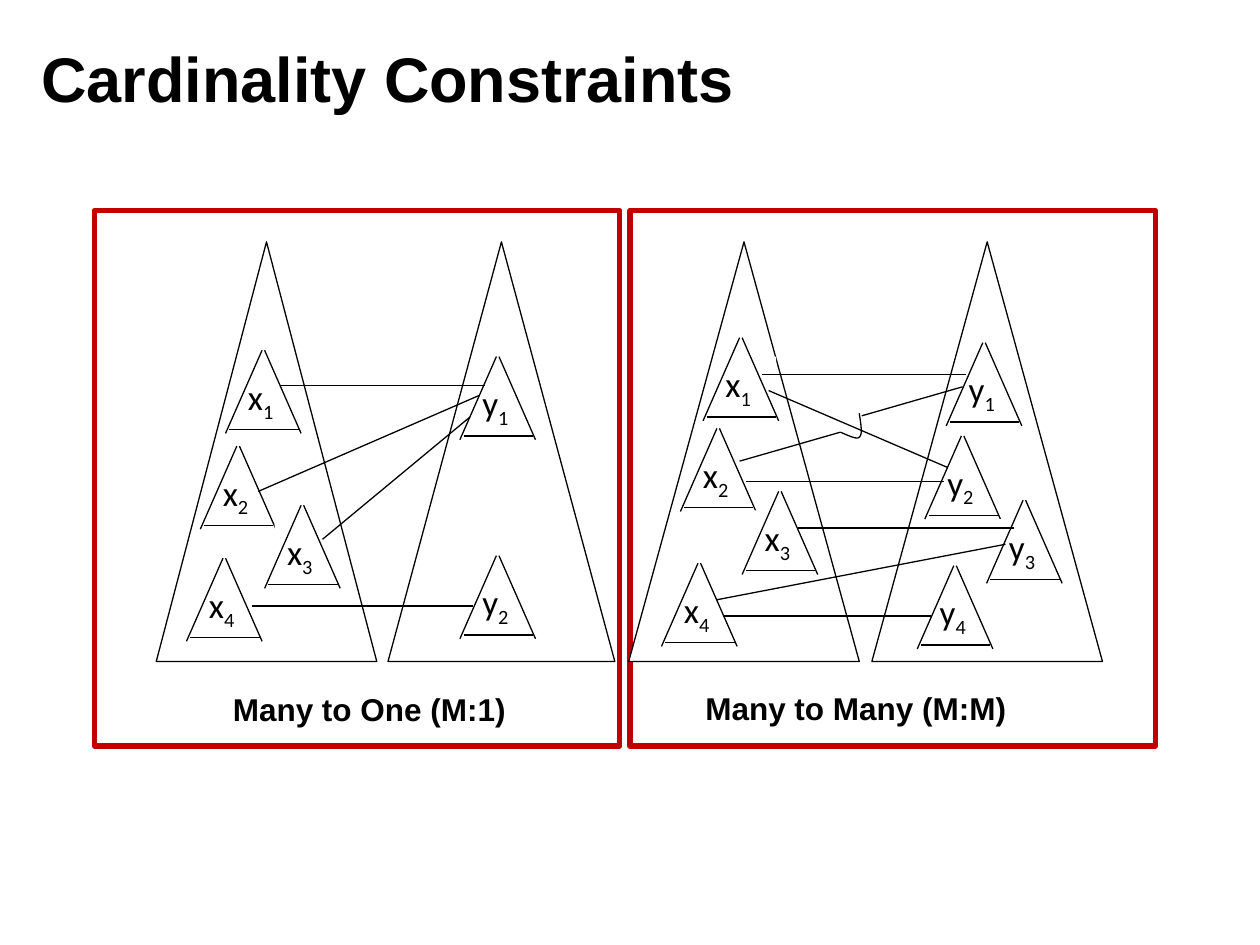
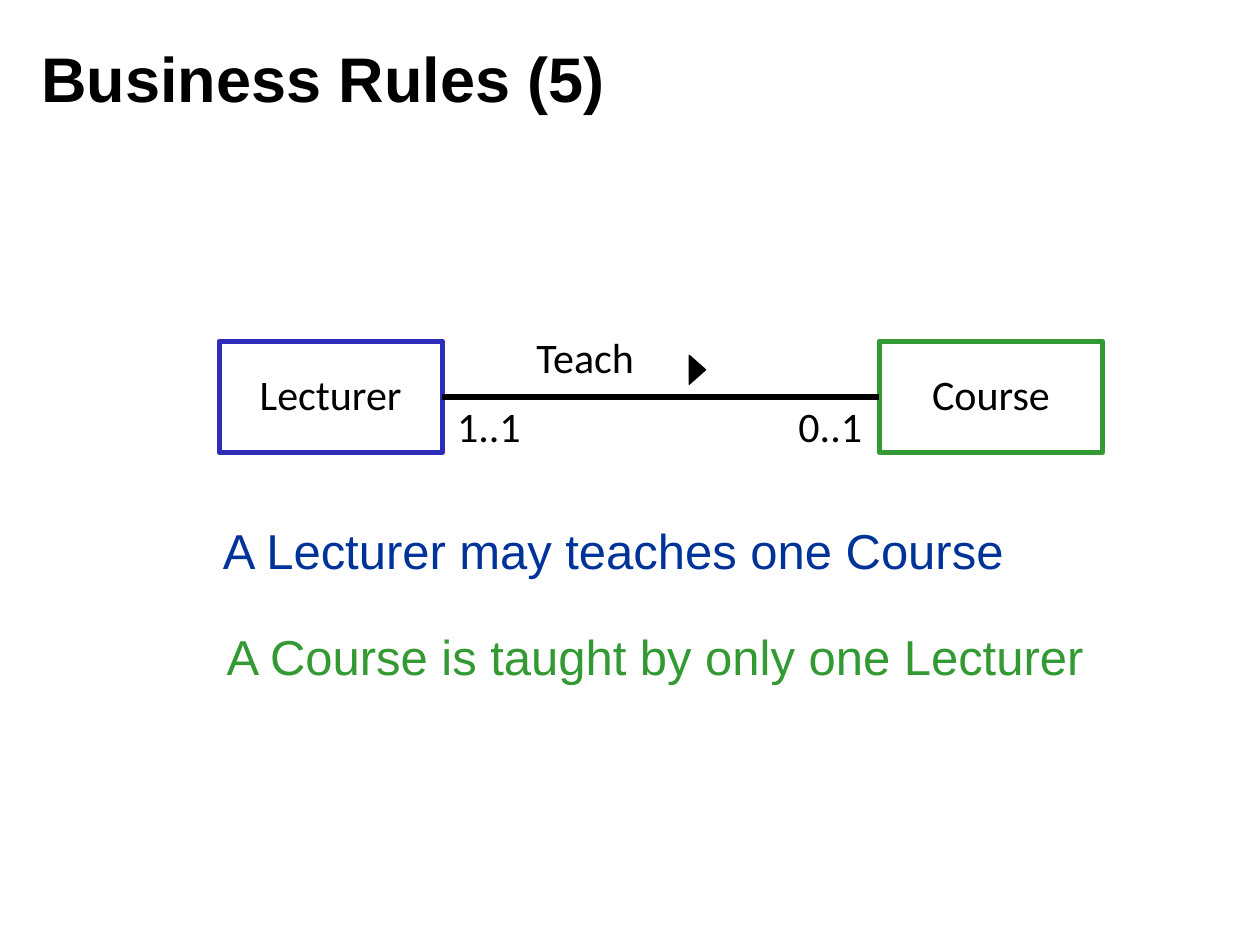
from lxml.etree import SubElement
from pptx import Presentation
from pptx.dml.color import RGBColor
from pptx.enum.shapes import MSO_CONNECTOR, MSO_SHAPE
from pptx.enum.text import MSO_ANCHOR as Anchor, PP_ALIGN as Align
from pptx.oxml.ns import qn
from pptx.util import Inches, Pt

COLORS = {
    "black": "000000", "white": "FFFFFF", "panel": "C00000",
    "lecturer": "2D2DB9", "course": "339933", "lecturer_rule": "003399",
}
HEADING_FONT, LABEL_FONT = "Arial", "Calibri"
THIN, THICK = 0.75, 3

# Positions inside a panel: sets are (left, width), nodes (name, index, left, top),
# links (x1, y1, x2, y2)
MANY_TO_ONE = {
    "caption": ("Many to One (M:1)", 1.0, 3.76),
    "sets": [(2.33, 1.8), (0.49, 1.75)],
    "nodes": [("x", 1, 1.04, 1.11), ("x", 2, 0.84, 1.87), ("x", 3, 1.35, 2.34),
              ("y", 1, 2.9, 1.16), ("y", 2, 2.9, 2.74), ("x", 4, 0.73, 2.76)],
    "links": [(1.47, 1.39, 3.1, 1.39), (1.81, 2.61, 2.98, 1.64),
              (1.3, 2.23, 3.05, 1.47), (1.25, 3.14, 3.0, 3.14)],
    "hop": [],
}
MANY_TO_MANY = {
    "caption": ("Many to Many (M:M)", 0.5, 3.75),
    "sets": [(1.92, 1.83), (-0.01, 1.83)],
    "nodes": [("y", 4, 2.28, 2.82), ("x", 1, 0.58, 1.01), ("x", 2, 0.4, 1.73),
              ("x", 3, 0.89, 2.23), ("y", 1, 2.51, 1.05), ("y", 2, 2.34, 1.79),
              ("y", 3, 2.83, 2.3), ("x", 4, 0.25, 2.8)],
    "links": [(1.05, 1.3, 2.67, 1.3), (1.1, 1.43, 2.52, 2.04),
              (0.92, 2.15, 2.49, 2.15), (0.87, 1.99, 1.67, 1.76),
              (1.84, 1.63, 2.64, 1.4), (1.33, 2.52, 3.05, 2.52),
              (0.69, 3.09, 2.98, 2.65), (0.74, 3.22, 2.39, 3.22)],
    # Two cubic curves, each as start, two handles and end
    "hop": [((1.67, 1.76), (1.74, 1.79), (1.8, 1.82), (1.82, 1.8)),
            ((1.82, 1.8), (1.85, 1.78), (1.83, 1.69), (1.82, 1.61))],
}


def color(name):
    return RGBColor.from_string(COLORS[name])


def write(shape, text, size=24, font=LABEL_FONT, ink="black", bold=False,
          align=Align.LEFT, anchor=Anchor.TOP, subscript="", bottom=0.05):
    frame = shape.text_frame
    frame.word_wrap = True
    frame.vertical_anchor = anchor
    frame.margin_bottom = Inches(bottom)
    paragraph = frame.paragraphs[0]
    paragraph.alignment = align
    for part in filter(None, (text, subscript)):
        run = paragraph.add_run()
        run.text = part
        run.font.size, run.font.name, run.font.bold = Pt(size), font, bold
        run.font.color.rgb = color(ink)
    if subscript:
        run.font._element.set("baseline", "-25000")


def add_text(slide, box, text, fill=None, **style):
    shape = slide.shapes.add_textbox(*map(Inches, box))
    if fill:
        shape.fill.solid()
        shape.fill.fore_color.rgb = color(fill)
    write(shape, text, **style)


def add_shape(slide, kind, box, line="black", width=THIN, fill="white"):
    shape = slide.shapes.add_shape(kind, *map(Inches, box))
    shape.shadow.inherit = False
    shape.fill.solid()
    shape.fill.fore_color.rgb = color(fill)
    shape.line.color.rgb = color(line)
    shape.line.width = Pt(width)
    return shape


def add_line(slide, x1, y1, x2, y2, width=THIN):
    line = slide.shapes.add_connector(
        MSO_CONNECTOR.STRAIGHT, *map(Inches, (x1, y1, x2, y2)))
    line.line.color.rgb = color("black")
    line.line.width = Pt(width)
    SubElement(line._element.spPr, qn("a:effectLst"))
    return line


def add_titled_slide(presentation, title):
    slide = presentation.slides.add_slide(presentation.slide_layouts[6])
    add_text(slide, (0.23, 0.15, 8.03, 0.93), title, size=36, font=HEADING_FONT,
             bold=True, anchor=Anchor.MIDDLE)
    return slide


def add_node(slide, left, top, name, index):
    add_text(slide, (left + 0.08, top + 0.15, 0.5, 0.45), name, fill="white",
             size=20, subscript=str(index))
    sides = [(0.03, 0.63, 0.58, 0.63), (0.31, 0, 0.6, 0.66), (0.29, 0, 0, 0.66)]
    for x1, y1, x2, y2 in sides:
        add_line(slide, left + x1, top + y1, left + x2, top + y2)


def add_hop(slide, left, top, curves, steps=8):
    points = []
    for curve in curves:
        for step in range(steps + 1):
            t = step / steps
            weights = ((1 - t) ** 3, 3 * t * (1 - t) ** 2, 3 * t * t * (1 - t), t ** 3)
            x, y = (sum(w * p[axis] for w, p in zip(weights, curve)) for axis in (0, 1))
            points.append((Inches(left + x), Inches(top + y)))
    builder = slide.shapes.build_freeform(*points[0])
    builder.add_line_segments(points[1:], close=False)
    hop = builder.convert_to_shape()
    hop.shadow.inherit = False
    hop.fill.background()
    hop.line.color.rgb = color("black")
    hop.line.width = Pt(THIN)


def add_mapping_panel(slide, box, mapping):
    left, top = box[:2]
    add_shape(slide, MSO_SHAPE.RECTANGLE, box, line="panel", width=THICK)
    # Entity sets and their members
    for set_left, set_width in mapping["sets"]:
        add_shape(slide, MSO_SHAPE.ISOSCELES_TRIANGLE,
                  (left + set_left, top + 0.25, set_width, 3.33))
    for name, index, x, y in mapping["nodes"]:
        add_node(slide, left + x, top + y, name, index)
    # Relationships, one hopping over another
    for x1, y1, x2, y2 in mapping["links"]:
        add_line(slide, left + x1, top + y1, left + x2, top + y2)
    if mapping["hop"]:
        add_hop(slide, left, top, mapping["hop"])
    caption, x, y = mapping["caption"]
    add_text(slide, (left + x, top + y, 2.67, 0.4), caption, size=18,
             font=HEADING_FONT, bold=True)


def add_entity(slide, left, top, name, line):
    entity = add_shape(slide, MSO_SHAPE.RECTANGLE, (left, top, 1.77, 0.88),
                       line=line, width=THICK)
    write(entity, name, align=Align.CENTER, anchor=Anchor.MIDDLE, bottom=0.1)
    return entity


def add_relationship(slide, left, top):
    # Relationship name and multiplicities
    add_text(slide, (left + 2.42, top - 0.13, 1.5, 0.84), "Teach")
    for x, multiplicity in ((1.65, "1..1"), (4.36, "0..1")):
        add_text(slide, (left + x, top + 0.42, 0.98, 0.56), multiplicity,
                 align=Align.CENTER)
    # Entities and the line joining them
    lecturer = add_entity(slide, left, top, "Lecturer", "lecturer")
    course = add_entity(slide, left + 5.24, top, "Course", "course")
    line = add_line(slide, left + 1.77, top + 0.44, left + 5.24, top + 0.44, THICK)
    line.begin_connect(lecturer, 3)
    line.end_connect(course, 1)
    # Reading direction
    pointer = add_shape(slide, MSO_SHAPE.ISOSCELES_TRIANGLE,
                        (left + 3.68, top + 0.16, 0.23, 0.13), fill="black")
    pointer.rotation = 90


def build_cardinality_slide(presentation):
    slide = add_titled_slide(presentation, "Cardinality Constraints")
    for left, mapping in ((0.75, MANY_TO_ONE), (5, MANY_TO_MANY)):
        add_mapping_panel(slide, (left, 1.67, 4.17, 4.25), mapping)


def build_rules_slide(presentation):
    slide = add_titled_slide(presentation, "Business Rules (5)")
    add_relationship(slide, 1.74, 2.71)
    rules = [
        ((1.67, 4.08, 6.92, 0.57), "A Lecturer may teaches one Course", "lecturer_rule"),
        ((1.7, 4.92, 7.13, 0.57), "A Course is taught by only one Lecturer", "course"),
    ]
    for box, rule, ink in rules:
        add_text(slide, box, rule, size=28, font=HEADING_FONT, ink=ink)


def main():
    presentation = Presentation()
    presentation.slide_width, presentation.slide_height = Inches(10), Inches(7.5)
    build_cardinality_slide(presentation)
    build_rules_slide(presentation)
    presentation.save("out.pptx")


if __name__ == "__main__":
    main()
